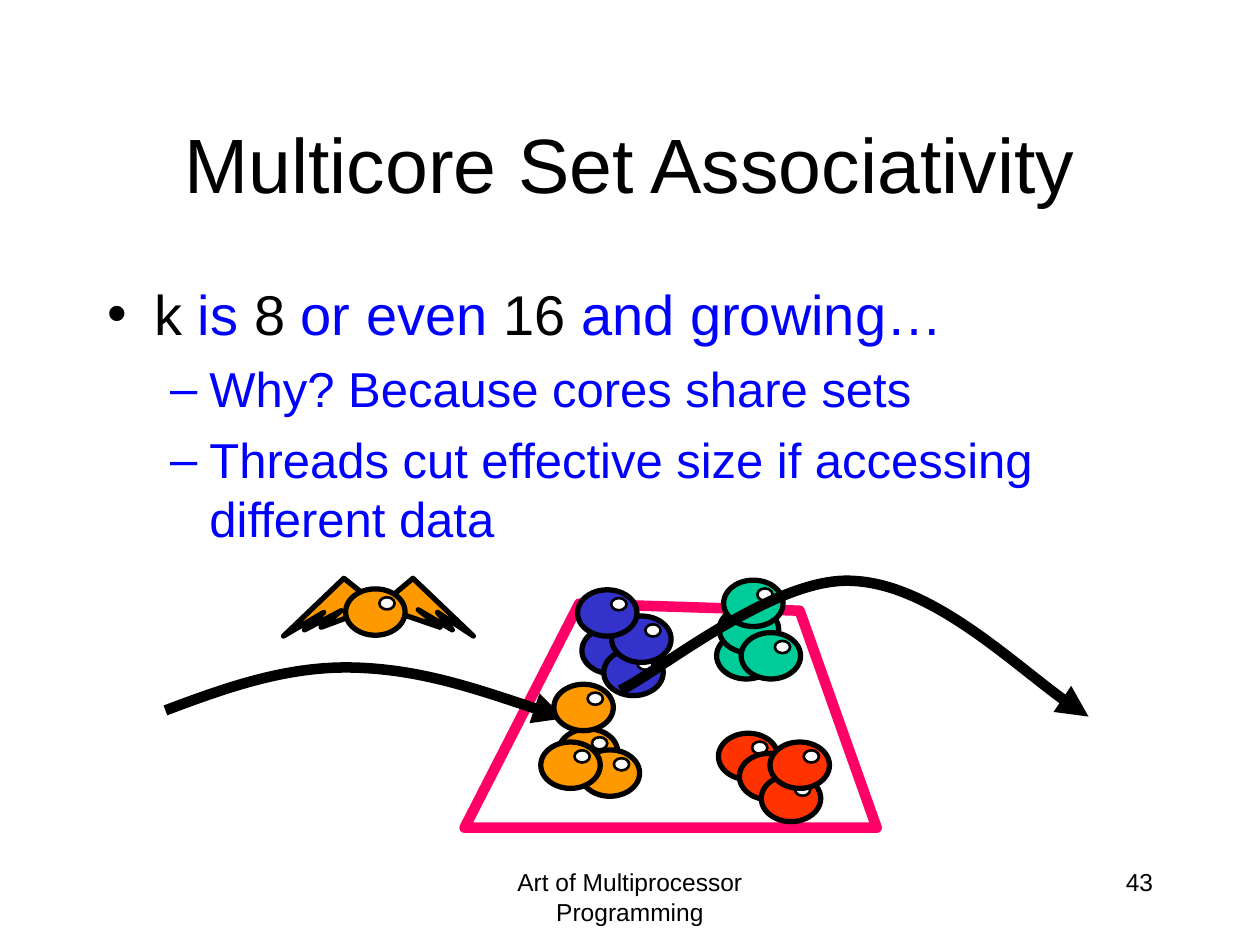
from dataclasses import dataclass

from lxml.etree import SubElement
from pptx import Presentation
from pptx.dml.color import RGBColor as Rgb
from pptx.enum.shapes import MSO_SHAPE as Preset
from pptx.enum.text import MSO_ANCHOR as Anchor, MSO_AUTO_SIZE as AutoSize, PP_ALIGN as Align
from pptx.oxml.ns import qn
from pptx.util import Pt


@dataclass(frozen=True)
class Theme:
    font: str = "Arial"
    title_size: int = 44
    body_size: int = 32
    sub_size: int = 28
    footer_size: int = 14
    ink: str = "000000"
    accent: str = "0000FF"
    white: str = "FFFFFF"
    cache: str = "FF0066"
    orange: str = "FF9900"
    red: str = "FF3300"
    green: str = "00CC99"
    blue: str = "3333CC"


THEME = Theme()

# Bullet styles: sign, left margin, hanging indent, space before, text size
LEVELS = [
    ("•", 27, 27, 8, THEME.body_size),
    ("–", 58.5, 22.5, 7, THEME.sub_size),
]

BULLETS = [
    (0, [("k", THEME.ink), (" is ", THEME.accent), ("8", THEME.ink),
         (" or even ", THEME.accent), ("16", THEME.ink), (" and growing…", THEME.accent)]),
    (1, [("Why? Because cores share sets", THEME.accent)]),
    (1, [("Threads cut effective size if accessing different data", THEME.accent)]),
]

# Thread size, then its highlight's offset and size
THREAD_SIZE = (34, 26.5)
GLINT_OFFSET = (19.25, 4.75)
GLINT_SIZE = (8.75, 7)

# Threads sharing the cache, from back to front
THREADS = [
    (410.5, 419, THEME.red), (319, 416.5, THEME.orange),
    (409.5, 361.5, THEME.green), (332.5, 358.5, THEME.blue),
    (411, 346.5, THEME.green), (413.5, 331.5, THEME.green),
    (423.5, 361.5, THEME.green), (345, 371, THEME.blue),
    (349.5, 352, THEME.blue), (330, 337, THEME.blue),
    (331.5, 428.5, THEME.orange), (309, 424, THEME.orange),
    (316.5, 391, THEME.orange), (422.5, 430.5, THEME.red),
    (435, 443, THEME.red), (440, 424, THEME.red),
]

CACHE_OUTLINE = [(331, 345), (265.5, 473), (501, 473), (457, 349)]
RIGHT_WING = [(220.5, 343.5), (236, 330.5), (270.5, 363.5), (250, 350), (258.5, 360),
              (239, 348.5), (251.5, 358.5), (216.5, 346.5)]
LEFT_WING = [(211.5, 342.5), (196.5, 330.5), (162, 363.5), (185, 350), (174, 360),
             (195, 349), (183.5, 358.5), (216, 346.5)]

# Bezier points: start, then two controls and an end for each segment
ENTER_PATH = [(94.5, 406), (129, 393), (164, 380.5), (202, 381.5),
              (240, 382.5), (281, 396.5), (322.5, 410.5)]
LEAVE_PATH = [(354.5, 394.5), (376.5, 384), (443, 329), (487.5, 332),
              (532, 334), (594, 393), (622, 409.5)]


def place(shape, left, top, width, height):
    shape.left, shape.top = Pt(left), Pt(top)
    shape.width, shape.height = Pt(width), Pt(height)


def add_span(para, text, size, color):
    span = para.add_run()
    span.text = text
    span.font.name = THEME.font
    span.font.size = Pt(size)
    span.font.color.rgb = Rgb.from_string(color)


def style(shape, fill, line, weight):
    shape.shadow.inherit = False
    if fill:
        shape.fill.solid()
        shape.fill.fore_color.rgb = Rgb.from_string(fill)
    else:
        shape.fill.background()
    shape.line.color.rgb = Rgb.from_string(line)
    shape.line.width = Pt(weight)


def add_bullet(para, level, spans):
    sign, margin, hanging, before, size = LEVELS[level]
    para.level = level
    props = para._p.get_or_add_pPr()
    props.set("marL", str(Pt(margin)))
    props.set("indent", str(-Pt(hanging)))
    color = SubElement(props, qn("a:buClr"))
    SubElement(color, qn("a:srgbClr"), val=spans[0][1])
    SubElement(props, qn("a:buFont"), typeface=THEME.font)
    SubElement(props, qn("a:buChar"), char=sign)
    para.space_before = Pt(before if level else 0)
    for text, span_color in spans:
        add_span(para, text, size, span_color)


def add_footer(page, text, left, width, align):
    box = page.shapes.add_textbox(Pt(left), Pt(492), Pt(width), Pt(36))
    box.text_frame.word_wrap = True
    para = box.text_frame.paragraphs[0]
    para.alignment = align
    add_span(para, text, THEME.footer_size, THEME.ink)


def add_outline(shapes, points, fill, line, weight, close=True):
    start, *rest = [(Pt(x), Pt(y)) for x, y in points]
    builder = shapes.build_freeform(*start)
    builder.add_line_segments(rest, close=close)
    shape = builder.convert_to_shape()
    style(shape, fill, line, weight)
    SubElement(shape.line._get_or_add_ln(), qn("a:round"))
    return shape


def add_curved_arrow(page, points):
    arrow = add_outline(page.shapes, points, None, THEME.ink, 6, close=False)
    # Merge every three straight steps into one Bezier segment
    steps = arrow._element.findall(".//" + qn("a:lnTo"))
    outline = steps[0].getparent()
    for first in range(0, len(steps), 3):
        curve = SubElement(outline, qn("a:cubicBezTo"))
        for step in steps[first:first + 3]:
            curve.append(step[0])
            outline.remove(step)
    SubElement(arrow.line._get_or_add_ln(), qn("a:tailEnd"), type="triangle")


def add_ellipse(shapes, left, top, size, fill, weight):
    width, height = size
    oval = shapes.add_shape(Preset.OVAL, Pt(left), Pt(top), Pt(width), Pt(height))
    style(oval, fill, THEME.ink, weight)


def add_thread(page, left, top, color, wings=()):
    shapes = page.shapes.add_group_shape().shapes
    for wing in wings:
        add_outline(shapes, wing, color, THEME.ink, 3)
    add_ellipse(shapes, left, top, THREAD_SIZE, color, 3)
    add_ellipse(shapes, left + GLINT_OFFSET[0], top + GLINT_OFFSET[1],
                GLINT_SIZE, THEME.white, 1.5)


def fill_title(page):
    title = page.shapes.title
    place(title, 54, 48, 612, 90)
    title.text_frame.auto_size = AutoSize.NONE
    title.text_frame.vertical_anchor = Anchor.MIDDLE
    para = title.text_frame.paragraphs[0]
    para.alignment = Align.CENTER
    add_span(para, "Multicore Set Associativity", THEME.title_size, THEME.ink)


def fill_body(page):
    body = page.placeholders[1]
    place(body, 54, 156, 612, 324)
    frame = body.text_frame
    frame.auto_size = AutoSize.NONE
    for index, (level, spans) in enumerate(BULLETS):
        para = frame.add_paragraph() if index else frame.paragraphs[0]
        add_bullet(para, level, spans)


def main():
    deck = Presentation()
    deck.slide_width, deck.slide_height = Pt(720), Pt(540)
    page = deck.slides.add_slide(deck.slide_layouts[1])

    # Text
    add_footer(page, "Art of Multiprocessor Programming", 246, 228, Align.CENTER)
    add_footer(page, "43", 516, 150, Align.RIGHT)
    fill_title(page)
    fill_body(page)

    # Cache set with threads entering, sharing and leaving
    add_outline(page.shapes, CACHE_OUTLINE, None, THEME.cache, 6)
    add_thread(page, 197.5, 336.5, THEME.orange, (RIGHT_WING, LEFT_WING))
    add_curved_arrow(page, ENTER_PATH)
    for left, top, color in THREADS:
        add_thread(page, left, top, color)
    add_curved_arrow(page, LEAVE_PATH)

    deck.save("out.pptx")


if __name__ == "__main__":
    main()
